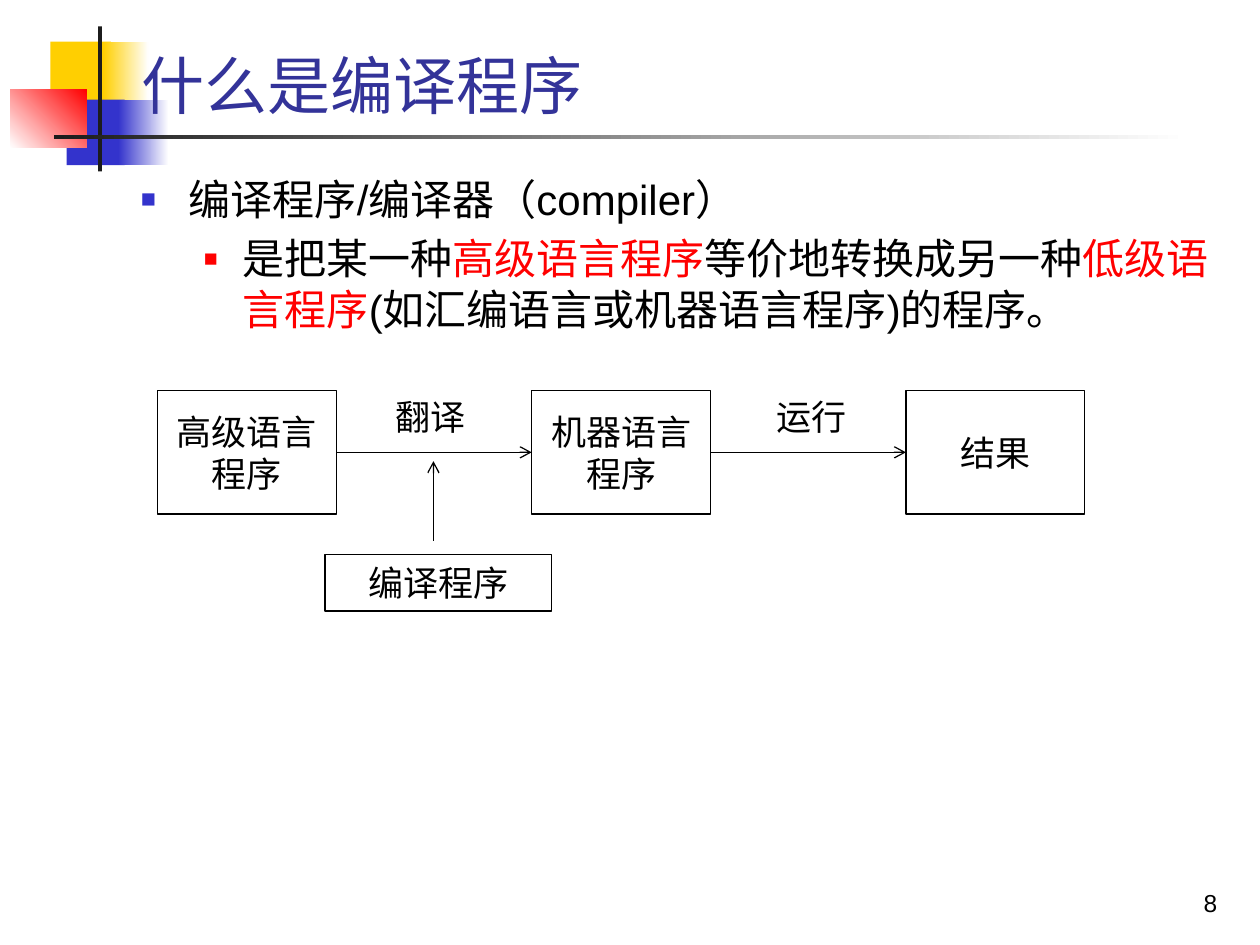
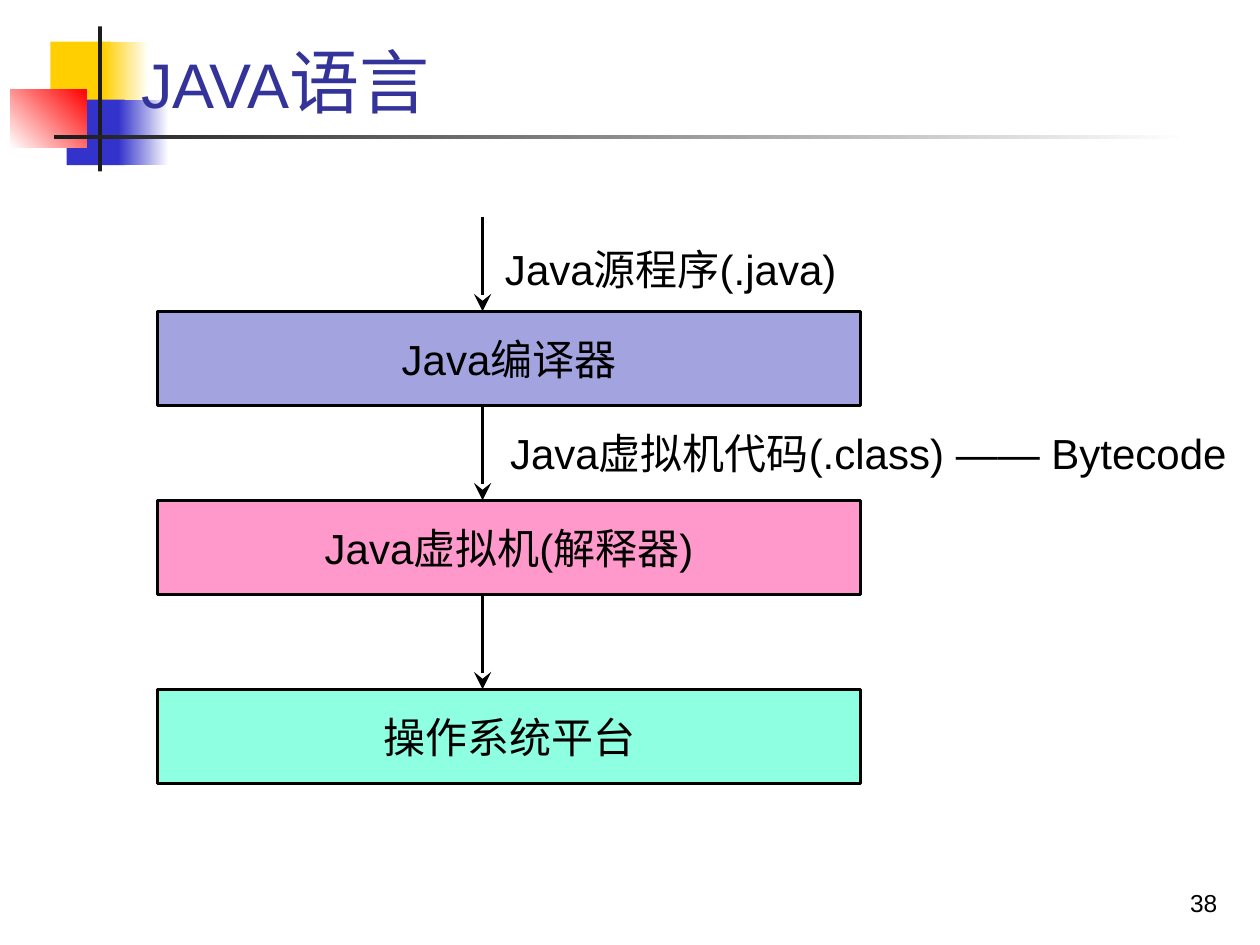
"""Two slides on compilers and the Java language."""
from lxml.etree import SubElement
from pptx import Presentation
from pptx.dml.color import RGBColor
from pptx.enum.shapes import MSO_CONNECTOR, MSO_SHAPE
from pptx.enum.text import MSO_ANCHOR, MSO_AUTO_SIZE, PP_ALIGN
from pptx.oxml.ns import qn
from pptx.util import Inches, Pt

LATIN_FONT, CHINESE_FONT = "Arial", "Noto Sans CJK SC"
BLACK, WHITE, RED, BLUE = "000000", "FFFFFF", "FF0000", "3333CC"
YELLOW, CHARCOAL, TITLE_BLUE = "FFCF01", "1C1C1C", "333399"
TITLE_SIZE = 36

EMBLEM = [
    ((0.4, 0.33, 0.48, 0.52), [YELLOW], 0),
    ((0.82, 0.33, 0.36, 0.52), [YELLOW, WHITE], 0),
    ((0.53, 0.79, 0.46, 0.52), [BLUE], 0),
    ((0.94, 0.79, 0.4, 0.52), [BLUE, WHITE], 0),
    ((0.08, 0.71, 0.61, 0.46), [WHITE, RED], 45),
    ((0.78, 0.21, 0.03, 1.15), [CHARCOAL], 0),
    ((0.43, 1.07, 9, 0.03), [CHARCOAL, WHITE], 0),
]


def rgb(value):
    """Turn a hex string into a colour."""
    return RGBColor.from_string(value)


def inches(*lengths):
    """Convert several lengths at once."""
    return [Inches(length) for length in lengths]


def style_paragraph(paragraph, size, color=BLACK, align=PP_ALIGN.LEFT):
    """Set the alignment and the Latin and Chinese fonts of a paragraph."""
    paragraph.alignment = align
    font = paragraph.font
    font.size = Pt(size)
    font.color.rgb = rgb(color)
    font.name = LATIN_FONT
    defaults = paragraph._p.get_or_add_pPr().find(qn("a:defRPr"))
    SubElement(defaults, qn("a:ea"), typeface=CHINESE_FONT)


def add_run(paragraph, text, color=None, size=None):
    """Append a run that may differ in colour or size."""
    run = paragraph.add_run()
    run.text = text
    if color:
        run.font.color.rgb = rgb(color)
    if size:
        run.font.size = Pt(size)


def add_block(slide, place, colors=(), angle=0):
    """Draw a borderless rectangle, unfilled, plain or with a gradient."""
    block = slide.shapes.add_shape(MSO_SHAPE.RECTANGLE, *inches(*place))
    block.shadow.inherit = False
    block.line.fill.background()
    if not colors:
        block.fill.background()
    elif len(colors) == 1:
        block.fill.solid()
        block.fill.fore_color.rgb = rgb(colors[0])
    else:
        block.fill.gradient()
        block.fill.gradient_angle = angle
        for stop, color in zip(block.fill.gradient_stops, colors):
            stop.color.rgb = rgb(color)
    return block


def add_emblem(slide):
    """Put the corner emblem and title rule on the layout of the slide."""
    for shape_id, (place, colors, angle) in enumerate(EMBLEM, 101):
        block = add_block(slide, place, colors, angle).element
        block.nvSpPr.cNvPr.set("id", str(shape_id))
        slide.slide_layout.shapes.element.append(block)


def add_title(slide, *parts):
    """Fill the title from pairs of text and size."""
    title = slide.shapes.title
    title.left, title.top, title.width, title.height = inches(1.02, 0.31, 8.75, 0.71)
    frame = title.text_frame
    frame.auto_size = MSO_AUTO_SIZE.NONE
    frame.vertical_anchor = MSO_ANCHOR.BOTTOM
    heading = frame.paragraphs[0]
    style_paragraph(heading, TITLE_SIZE, TITLE_BLUE)
    for text, size in parts:
        add_run(heading, text, size=size)


def add_label(slide, place, text, size, align=PP_ALIGN.LEFT,
              anchor=MSO_ANCHOR.MIDDLE, wrap=False):
    """Write one line of free text and return its frame."""
    label = slide.shapes.add_textbox(*inches(*place))
    frame = label.text_frame
    frame.word_wrap = wrap
    frame.vertical_anchor = anchor
    frame.text = text
    style_paragraph(frame.paragraphs[0], size, align=align)
    return frame


def add_page_number(slide, number):
    """Write the page number at the bottom right."""
    add_label(slide, (7.68, 6.83, 2.08, 0.5), str(number), 14,
              PP_ALIGN.RIGHT, MSO_ANCHOR.BOTTOM, wrap=True)


def add_box(slide, place, text, size, weight, fill=None):
    """Draw an outlined box with centred text."""
    box = add_block(slide, place, [fill] if fill else [])
    box.line.color.rgb = rgb(BLACK)
    box.line.width = Pt(weight)
    frame = box.text_frame
    frame.word_wrap = True
    frame.vertical_anchor = MSO_ANCHOR.MIDDLE
    frame.text = text
    style_paragraph(frame.paragraphs[0], size, align=PP_ALIGN.CENTER)
    return box


def add_arrow(slide, start, end, weight, head, head_size="med"):
    """Draw a straight arrow between two points."""
    arrow = slide.shapes.add_connector(MSO_CONNECTOR.STRAIGHT, *inches(*start, *end))
    arrow.line.color.rgb = rgb(BLACK)
    arrow.line.width = Pt(weight)
    SubElement(arrow.line._get_or_add_ln(), qn("a:tailEnd"),
               type=head, w=head_size, len=head_size)
    SubElement(arrow.element.spPr, qn("a:effectLst"))
    return arrow


def add_bullet(paragraph, margin, hanging, color, percent):
    """Give a paragraph a square bullet and a hanging indent."""
    properties = paragraph._p.get_or_add_pPr()
    properties.set("marL", str(Inches(margin)))
    properties.set("indent", str(-Inches(hanging)))
    bullet_color = SubElement(properties, qn("a:buClr"))
    SubElement(bullet_color, qn("a:srgbClr"), val=color)
    SubElement(properties, qn("a:buSzPct"), val=str(percent * 1000))
    SubElement(properties, qn("a:buFont"), typeface=LATIN_FONT)
    SubElement(properties, qn("a:buChar"), char="■")


def add_definition(slide):
    """Write the definition of a compiler as two bullet levels."""
    frame = slide.shapes.add_textbox(*inches(1.02, 1.33, 8.73, 1.5)).text_frame
    frame.word_wrap = True
    term = frame.paragraphs[0]
    add_bullet(term, 0.38, 0.38, BLUE, 60)
    style_paragraph(term, 24)
    add_run(term, "编译程序/编译器（compiler）")
    meaning = frame.add_paragraph()
    meaning.level = 1
    add_bullet(meaning, 0.81, 0.31, RED, 55)
    meaning.space_before = Pt(5)
    style_paragraph(meaning, 24)
    for text, color in [("是把某一种", None), ("高级语言程序", RED),
                        ("等价地转换成另一种", None), ("低级语言程序", RED),
                        ("(如汇编语言或机器语言程序)的程序。", None)]:
        add_run(meaning, text, color)


def add_compile_flow(slide):
    """Draw the flow from source program to result."""
    left, top, width, height, pitch = 1.25, 3.1, 1.42, 0.98, 2.97
    middle = top + height / 2
    stages = [add_box(slide, (left + i * pitch, top, width, height), text, 20, 0.75)
              for i, text in enumerate(["高级语言程序", "机器语言程序", "结果"])]
    for i, action in enumerate(["翻译", "运行"]):
        begin = left + i * pitch + width
        step = add_arrow(slide, (begin, middle), (left + (i + 1) * pitch, middle),
                         0.75, "arrow")
        step.begin_connect(stages[i], 3)
        step.end_connect(stages[i + 1], 1)
        add_label(slide, (3 + i * 3.03, 3.13, 0.83, 0.35), action, 20, PP_ALIGN.CENTER)
    add_box(slide, (2.58, 4.4, 1.8, 0.45), "编译程序", 20, 0.75)
    add_arrow(slide, (3.44, 4.29), (3.44, 3.66), 0.75, "arrow")


def add_java_layers(slide):
    """Stack the Java layers, each with an arrow coming in from above."""
    layers = [("Java编译器", "A3A3E0"), ("Java虚拟机(解释器)", "FF99CC"),
              ("操作系统平台", "8EFFE1")]
    height, arrow_x = 0.75, 3.83
    for i, (text, fill) in enumerate(layers):
        top = 2.47 + i * 2 * height
        add_box(slide, (1.25, top, 5.58, height), text, 24, 1.5, fill)
        add_arrow(slide, (arrow_x, top - height), (arrow_x, top), 1.5, "stealth", "lg")
    add_label(slide, (3.91, 1.8, 3, 0.67), "Java源程序(.java)", 24)
    bytecode = add_label(slide, (3.95, 3.22, 6.05, height),
                         "Java虚拟机代码(.class) —— Bytecode", 24)
    bytecode.margin_right = 0


def main():
    """Build and save the slides."""
    deck = Presentation()
    deck.slide_width, deck.slide_height = inches(10, 7.5)
    title_only = deck.slide_layouts[5]

    compiler = deck.slides.add_slide(title_only)
    add_emblem(compiler)
    add_title(compiler, ("什么是编译程序", None))
    add_definition(compiler)
    add_compile_flow(compiler)
    add_page_number(compiler, 8)

    java = deck.slides.add_slide(title_only)
    add_title(java, ("JAVA", None), ("语言", 40))
    add_java_layers(java)
    add_page_number(java, 38)

    deck.save("out.pptx")


if __name__ == "__main__":
    main()
